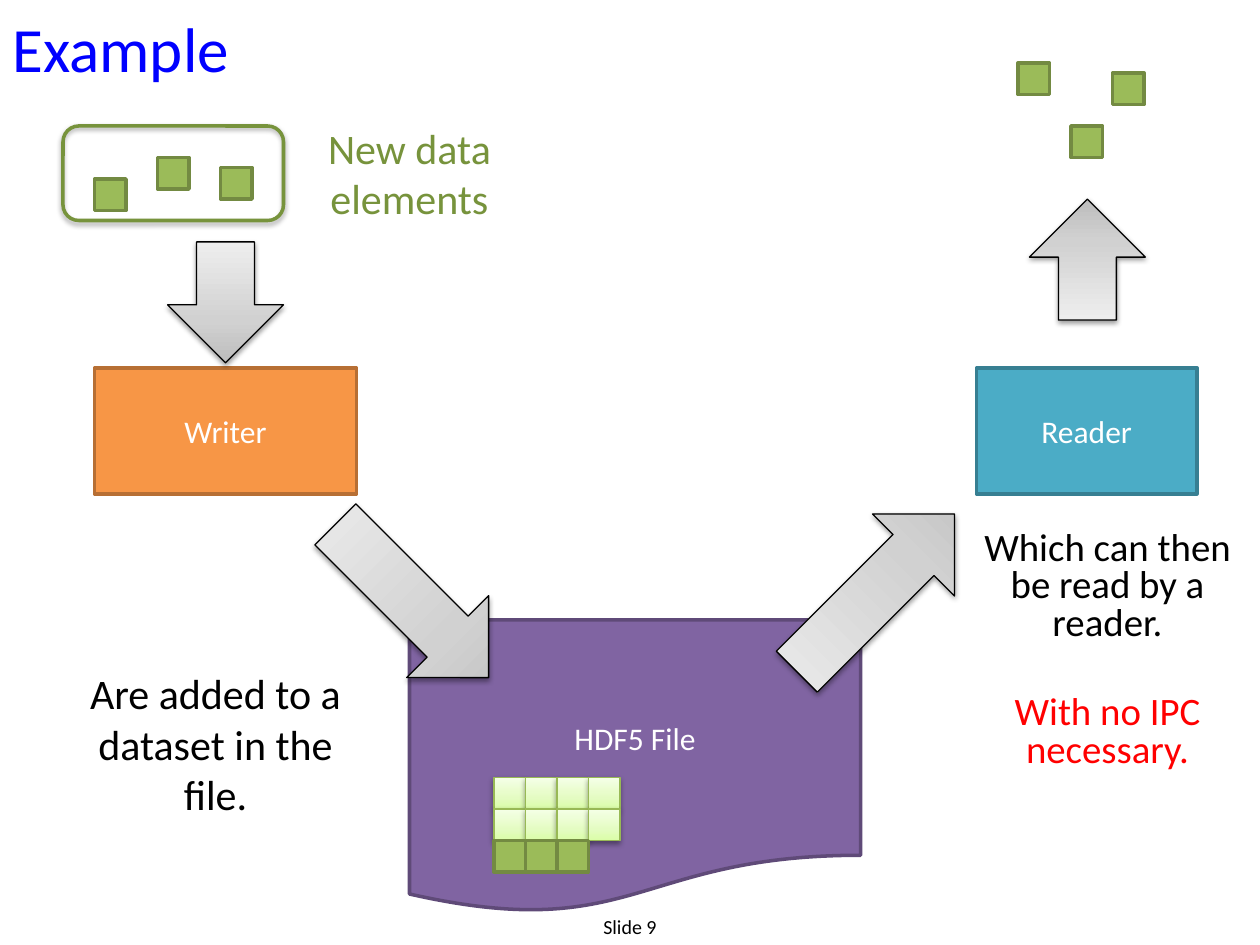
from copy import deepcopy

from lxml.etree import SubElement
from pptx import Presentation
from pptx.dml.color import RGBColor
from pptx.enum.shapes import MSO_SHAPE as Shape
from pptx.enum.text import MSO_ANCHOR as Anchor, PP_ALIGN as Align
from pptx.oxml.ns import qn
from pptx.util import Inches, Pt

BLACK = RGBColor(0x00, 0x00, 0x00)
WHITE = RGBColor(0xFF, 0xFF, 0xFF)
BLUE = RGBColor(0x00, 0x00, 0xFF)
RED = RGBColor(0xFF, 0x00, 0x00)
GREEN = RGBColor(0x9B, 0xBB, 0x59)
GREEN_EDGE = RGBColor(0x73, 0x8A, 0x42)
GREEN_DARK = RGBColor(0x77, 0x93, 0x3C)
CELL_EDGE = RGBColor(0x98, 0xB9, 0x55)
PURPLE = RGBColor(0x80, 0x64, 0xA2)
PURPLE_EDGE = RGBColor(0x5F, 0x4A, 0x78)
ORANGE = RGBColor(0xF7, 0x96, 0x46)
ORANGE_EDGE = RGBColor(0xB7, 0x6F, 0x34)
TEAL = RGBColor(0x4B, 0xAC, 0xC6)
TEAL_EDGE = RGBColor(0x37, 0x7F, 0x92)
GRAY_FADE = [RGBColor(0xBD, 0xBD, 0xBD), RGBColor(0xD1, 0xD1, 0xD1), RGBColor(0xEE, 0xEE, 0xEE)]
CELL_FADE = [RGBColor(0xDA, 0xFD, 0xA7), RGBColor(0xE4, 0xFC, 0xC2), RGBColor(0xF5, 0xFF, 0xE7)]
FADE_STOPS = (0, 0.35, 1)
SIDE = 0.25


def add_block(shapes, kind, place, fill, edge, weight=2, shadow=None):
    block = shapes.add_shape(kind, *[Inches(value) for value in place])
    block.shadow.inherit = False
    block.line.color.rgb = edge
    block.line.width = Pt(weight)
    if fill is None:
        block.fill.background()
    elif isinstance(fill, list):
        block.fill.gradient()
        block.fill.gradient_angle = 90
        stop_list = block._element.spPr.find(".//" + qn("a:gsLst"))
        stop_list.insert(1, deepcopy(stop_list[0]))
        for stop, position, color in zip(block.fill.gradient_stops, FADE_STOPS, fill):
            stop.position = position
            stop.color.rgb = color
    else:
        block.fill.solid()
        block.fill.fore_color.rgb = fill
    if shadow:
        opacity, distance = shadow
        effects = block._element.spPr.find(qn("a:effectLst"))
        outer = SubElement(effects, qn("a:outerShdw"), blurRad=str(Pt(3.1)),
                           dist=str(Pt(distance)), dir="5400000", rotWithShape="0")
        tint = SubElement(outer, qn("a:srgbClr"), val=str(BLACK))
        SubElement(tint, qn("a:alpha"), val=str(opacity * 1000))
    return block


def add_words(para, text, size, color, align=Align.CENTER):
    para.alignment = align
    span = para.add_run()
    span.text = text
    span.font.name = "Calibri"
    span.font.size = Pt(size)
    span.font.color.rgb = color


deck = Presentation()
deck.slide_width = Inches(10)
deck.slide_height = Inches(7.5)
page = deck.slides.add_slide(deck.slide_layouts[5])

title = page.shapes.title
title.left, title.top = Inches(0), Inches(0)
title.width, title.height = Inches(5.33), Inches(0.75)
title.text_frame.vertical_anchor = Anchor.MIDDLE
add_words(title.text_frame.paragraphs[0], "Example", 36, BLUE, Align.LEFT)

for kind, place, fill, edge, label in [
    (Shape.FLOWCHART_DOCUMENT, (3.25, 4.92, 3.58, 2.33), PURPLE, PURPLE_EDGE, "HDF5 File"),
    (Shape.RECTANGLE, (0.75, 2.92, 2.08, 1), ORANGE, ORANGE_EDGE, "Writer"),
    (Shape.RECTANGLE, (7.75, 2.92, 1.75, 1), TEAL, TEAL_EDGE, "Reader"),
]:
    block = add_block(page.shapes, kind, place, fill, edge)
    block.text_frame.vertical_anchor = Anchor.MIDDLE
    add_words(block.text_frame.paragraphs[0], label, 18, WHITE)

for left, top, height, turn in [
    (2.81, 3.91, 1.72, 315),
    (6.49, 3.82, 1.77, 225),
    (1.33, 1.92, 0.96, 0),
    (8.17, 1.58, 0.96, 180),
]:
    arrow = add_block(page.shapes, Shape.DOWN_ARROW, (left, top, 0.92, height),
                      GRAY_FADE, BLACK, 0.75, (38, 1.6))
    arrow.rotation = turn

for left, top in [(0.75, 1.42), (1.25, 1.25), (1.75, 1.33), (8.08, 0.5), (8.5, 1), (8.83, 0.58)]:
    add_block(page.shapes, Shape.RECTANGLE, (left, top, SIDE, SIDE), GREEN, GREEN_EDGE)

add_block(page.shapes, Shape.ROUNDED_RECTANGLE, (0.5, 1, 1.75, 0.75),
          None, GREEN_DARK, 2, (35, 1.8))

dataset = page.shapes.add_group_shape()
for row, columns in enumerate((4, 4, 3)):
    style = (GREEN, GREEN_EDGE) if row == 2 else (CELL_FADE, CELL_EDGE, 0.75, (38, 1.6))
    for column in range(columns):
        place = (3.92 + column * SIDE, 6.17 + row * SIDE, SIDE, SIDE)
        add_block(dataset.shapes, Shape.RECTANGLE, place, *style)

for place, size, spacing, lines in [
    ((2.25, 0.92, 2, 1.33), 24, 1, [("New data elements", GREEN_DARK)]),
    ((0.5, 5.25, 2.42, 1.33), 24, 1, [("Are added to a dataset in the file.", BLACK)]),
    ((7.58, 4.17, 2.42, 2.08), 22.2, 0.8,
     [("Which can then be read by a reader.", BLACK), ("With no IPC necessary.", RED)]),
    ((4, 7.25, 2, 0.25), 11.4, 0.8, [("Slide 9", BLACK)]),
]:
    box = page.shapes.add_textbox(*[Inches(value) for value in place])
    frame = box.text_frame
    frame.word_wrap = True
    for index, (text, color) in enumerate(lines):
        para = frame.add_paragraph() if index else frame.paragraphs[0]
        para.line_spacing = spacing
        if index:
            para.space_before = Pt(30)
        add_words(para, text, size, color)

deck.save("out.pptx")
